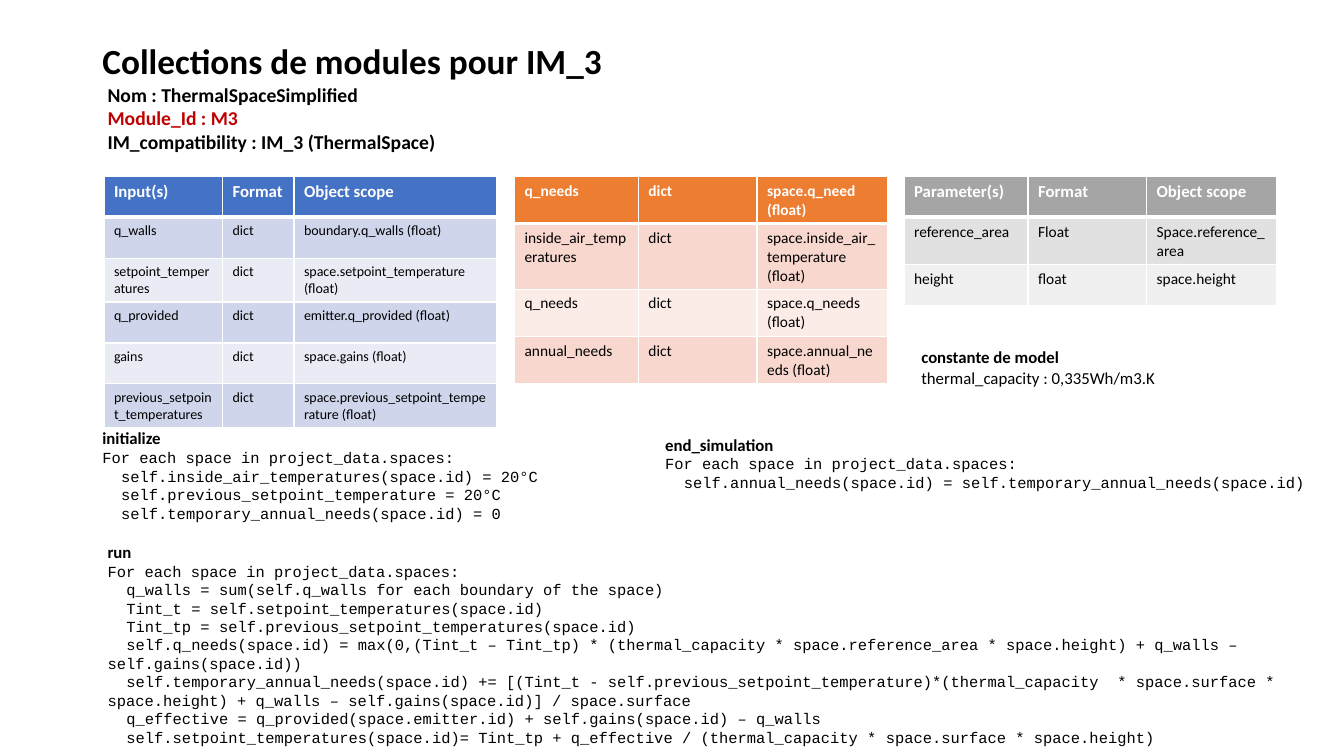
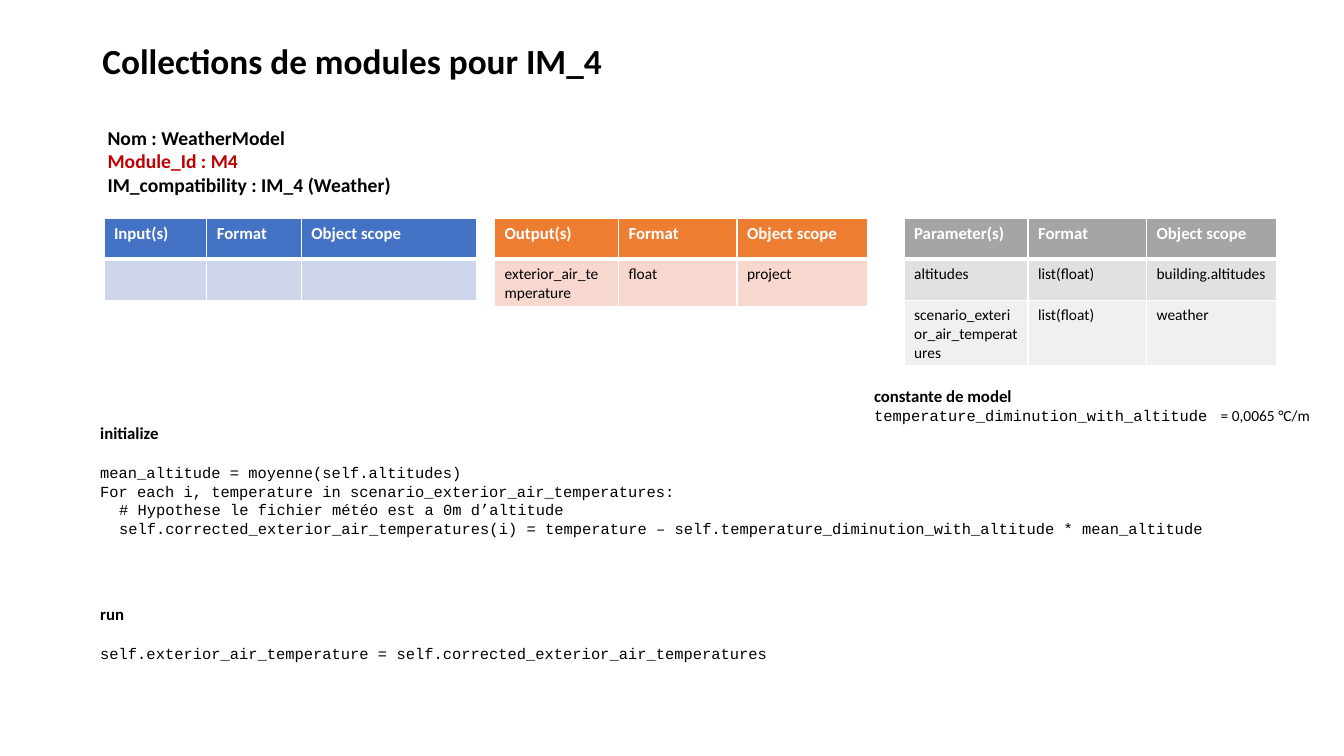
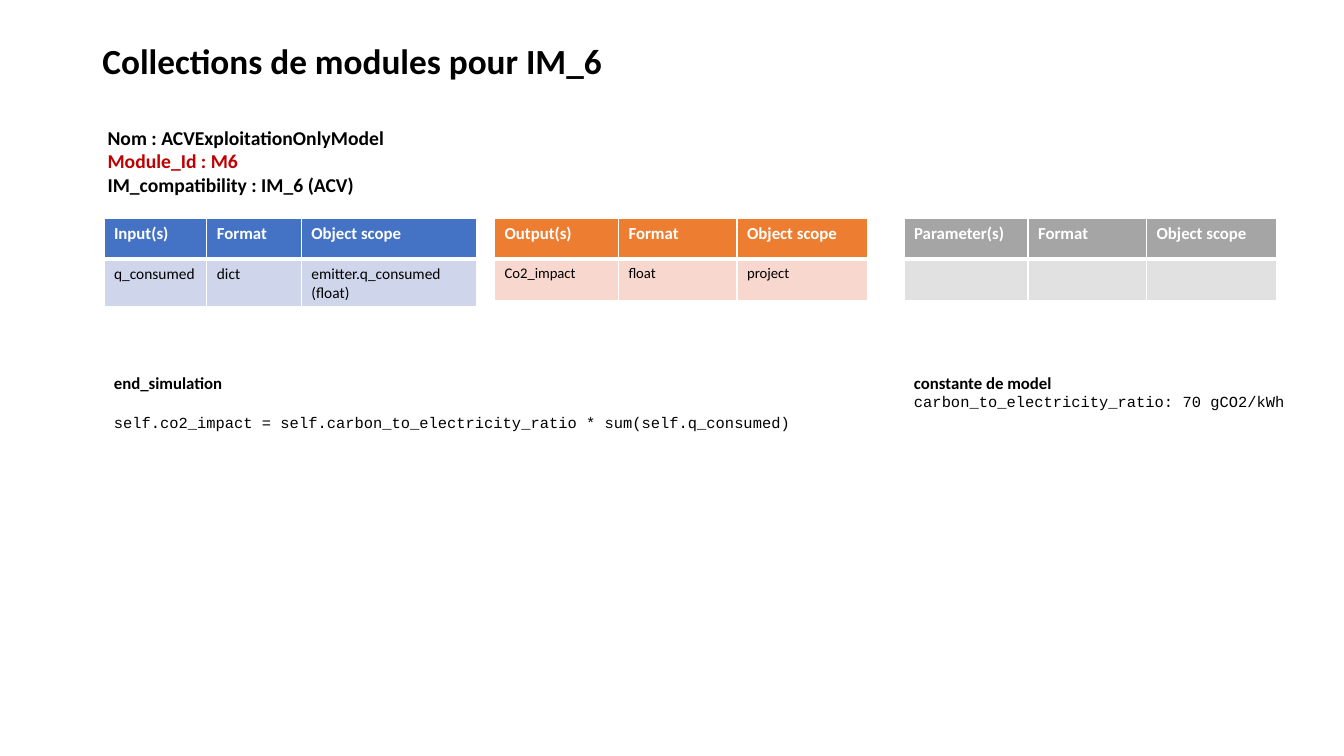
from lxml.etree import SubElement
from pptx import Presentation
from pptx.dml.color import RGBColor
from pptx.enum.text import MSO_ANCHOR, MSO_AUTO_SIZE, PP_ALIGN
from pptx.oxml.ns import qn
from pptx.util import Pt

PX = 9525
SANS, MONO = "Calibri", "Courier New"
BLACK, WHITE, RED = "000000", "FFFFFF", "C00000"
ROW_H = 39
INDENT = 18
BLANK_LINE = 14.6

# header fill, then the two alternating body fills
BLUE = ("4472C4", "CFD5EA", "E9EBF5")
ORANGE = ("ED7D31", "F8D7CE", "FCECE8")
GREY = ("A5A5A5", "E1E1E1", "F0F0F0")
EVEN_COLS = (118, 113, 124)
INPUT_COLS = (98, 90, 167)

INPUT_HEAD = ("Input(s)", "Format", "Object scope")
OUTPUT_HEAD = ("Output(s)", "Format", "Object scope")
PARAM_HEAD = ("Parameter(s)", "Format", "Object scope")
EMPTY = ("", "", "")

# tables: left, column widths, colours, header size, body size, rows
# blocks: box, heading, gap before the first line, lines;
# a line is a string of code or a list of (text, font, size) runs
slides = [
    {
        "im": 3, "name": "ThermalSpaceSimplified", "scope": "ThermalSpace",
        "meta_top": 74, "table_top": 168,
        "tables": [
            (99, (113, 68, 193), BLUE, 12, 10, [
                INPUT_HEAD,
                ("q_walls", "dict", "boundary.q_walls (float)"),
                ("setpoint_temperatures", "dict", "space.setpoint_temperature (float)"),
                ("q_provided", "dict", "emitter.q_provided (float)"),
                ("gains", "dict", "space.gains (float)"),
                ("previous_setpoint_temperatures", "dict",
                 "space.previous_setpoint_temperature (float)"),
            ]),
            (490, EVEN_COLS, ORANGE, 11, 11, [
                ("q_needs", "dict", "space.q_need (float)"),
                ("inside_air_temperatures", "dict", "space.inside_air_temperature (float)"),
                ("q_needs", "dict", "space.q_needs (float)"),
                ("annual_needs", "dict", "space.annual_needs (float)"),
            ]),
            (861, EVEN_COLS, GREY, 12, 11, [
                PARAM_HEAD,
                ("reference_area", "Float", "Space.reference_area"),
                ("height", "float", "space.height"),
            ]),
        ],
        "blocks": [
            ((93, 511, 1187, 206), "run", 0, [
                "For each space in project_data.spaces:",
                "  q_walls = sum(self.q_walls for each boundary of the space)",
                "  Tint_t = self.setpoint_temperatures(space.id)",
                "  Tint_tp = self.previous_setpoint_temperatures(space.id)",
                "  self.q_needs(space.id) = max(0,(Tint_t – Tint_tp) * (thermal_capacity * "
                "space.reference_area * space.height) + q_walls – self.gains(space.id))",
                "  self.temporary_annual_needs(space.id) += [(Tint_t - "
                "self.previous_setpoint_temperature)*(thermal_capacity  * space.surface * "
                "space.height) + q_walls – self.gains(space.id)] / space.surface",
                "  q_effective = q_provided(space.emitter.id) + self.gains(space.id) – q_walls",
                "  self.setpoint_temperatures(space.id)= Tint_tp + q_effective / "
                "(thermal_capacity * space.surface * space.height)",
            ]),
            ((88, 403, 614, 118), "initialize", 0, [
                "For each space in project_data.spaces:",
                "  self.inside_air_temperatures(space.id) = 20°C",
                "  self.previous_setpoint_temperature = 20°C",
                "  self.temporary_annual_needs(space.id) = 0",
            ]),
            ((868, 326, 256, 48), "constante de model", 0, [
                [("thermal_capacity : 0,335Wh/m3.K", SANS, 12)],
            ]),
            ((624, 409, 632, 64), "end_simulation", 0, [
                "For each space in project_data.spaces:",
                "  self.annual_needs(space.id) = self.temporary_annual_needs(space.id)",
            ]),
        ],
    },
    {
        "im": 4, "name": "WeatherModel", "scope": "Weather",
        "meta_top": 115, "table_top": 208,
        "tables": [
            (99, INPUT_COLS, BLUE, 12, 11, [INPUT_HEAD, EMPTY]),
            (471, EVEN_COLS, ORANGE, 12, 11, [
                OUTPUT_HEAD,
                ("exterior_air_temperature", "float", "project"),
            ]),
            (861, EVEN_COLS, GREY, 12, 11, [
                PARAM_HEAD,
                ("altitudes", "list(float)", "building.altitudes"),
                ("scenario_exterior_air_temperatures", "list(float)", "weather"),
            ]),
        ],
        "blocks": [
            ((823, 363, 454, 47), "constante de model", 0, [
                [("temperature_diminution_with_altitude ", MONO, 11),
                 (" = 0,0065 °C/m", SANS, 11)],
            ]),
            ((86, 570, 1124, 66), "run", BLANK_LINE, [
                "self.exterior_air_temperature = self.corrected_exterior_air_temperatures",
            ]),
            ((86, 398, 1124, 139), "initialize", BLANK_LINE, [
                "mean_altitude = moyenne(self.altitudes)",
                "For each i, temperature in scenario_exterior_air_temperatures:",
                "  # Hypothese le fichier météo est a 0m d’altitude",
                "  self.corrected_exterior_air_temperatures(i) = temperature – "
                "self.temperature_diminution_with_altitude * mean_altitude",
            ]),
        ],
    },
    {
        "im": 6, "name": "ACVExploitationOnlyModel", "scope": "ACV",
        "meta_top": 115, "table_top": 208,
        "tables": [
            (99, INPUT_COLS, BLUE, 12, 11, [
                INPUT_HEAD,
                ("q_consumed", "dict", "emitter.q_consumed (float)"),
            ]),
            (471, EVEN_COLS, ORANGE, 12, 10.5, [
                OUTPUT_HEAD,
                ("Co2_impact", "float", "project"),
            ]),
            (861, EVEN_COLS, GREY, 12, 11, [PARAM_HEAD, EMPTY]),
        ],
        "blocks": [
            ((99, 350, 750, 68), "end_simulation", BLANK_LINE, [
                "self.co2_impact = self.carbon_to_electricity_ratio * sum(self.q_consumed)",
            ]),
            ((861, 350, 408, 48), "constante de model", 0, [
                "carbon_to_electricity_ratio: 70 gCO2/kWh",
            ]),
        ],
    },
]


def rgb(color):
    return RGBColor.from_string(color)


def add_run(p, text, size, color=BLACK, bold=False, font=SANS):
    r = p.add_run()
    r.text = text
    r.font.name = font
    r.font.size = Pt(size)
    r.font.bold = bold
    r.font.color.rgb = rgb(color)


prs = Presentation()
prs.slide_width, prs.slide_height = 1280 * PX, 720 * PX

for data in slides:
    s = prs.slides.add_slide(prs.slide_layouts[5])

    title = s.shapes.title
    title.left, title.top, title.width, title.height = (v * PX for v in (88, 38, 1104, 45))
    tf = title.text_frame
    tf.auto_size = MSO_AUTO_SIZE.NONE
    tf.vertical_anchor = MSO_ANCHOR.MIDDLE
    p = tf.paragraphs[0]
    p.alignment = PP_ALIGN.LEFT
    p.line_spacing = 0.9
    add_run(p, f"Collections de modules pour IM_{data['im']}", 25.2, bold=True)

    tf = s.shapes.add_textbox(93 * PX, data["meta_top"] * PX, 349 * PX, 142 * PX).text_frame
    tf.word_wrap = True
    meta = [
        (f"Nom : {data['name']}", BLACK),
        (f"Module_Id : M{data['im']}", RED),
        (f"IM_compatibility : IM_{data['im']} ({data['scope']})", BLACK),
    ]
    for i, (text, color) in enumerate(meta):
        p = tf.add_paragraph() if i else tf.paragraphs[0]
        add_run(p, text, 14, color, bold=True)

    for left, cols, fills, head_size, body_size, rows in data["tables"]:
        table = s.shapes.add_table(
            len(rows), len(cols), left * PX, data["table_top"] * PX,
            sum(cols) * PX, len(rows) * ROW_H * PX).table
        for col, width in zip(table.columns, cols):
            col.width = width * PX
        for i, row in enumerate(rows):
            head = i == 0
            fill = fills[0] if head else fills[1 + (i - 1) % 2]
            borders = {"L": 1, "R": 1, "T": 3 if i == 1 else 1, "B": 3 if head else 1}
            for j, text in enumerate(row):
                cell = table.cell(i, j)
                tcPr = cell._tc.get_or_add_tcPr()
                for side, width in borders.items():
                    ln = SubElement(tcPr, qn(f"a:ln{side}"), w=str(Pt(width)))
                    SubElement(SubElement(ln, qn("a:solidFill")), qn("a:srgbClr"), val=WHITE)
                cell.fill.solid()
                cell.fill.fore_color.rgb = rgb(fill)
                if text:
                    add_run(cell.text_frame.paragraphs[0], text,
                            head_size if head else body_size,
                            WHITE if head else BLACK, bold=head)

    for box, heading, gap, lines in data["blocks"]:
        tf = s.shapes.add_textbox(*(v * PX for v in box)).text_frame
        tf.word_wrap = True
        add_run(tf.paragraphs[0], heading, 12, bold=True)
        for i, line in enumerate(lines):
            p = tf.add_paragraph()
            if i == 0 and gap:
                p.space_before = Pt(gap)
            if isinstance(line, str):
                if line.startswith("  "):
                    pPr = p._p.get_or_add_pPr()
                    pPr.set("marL", "0")
                    pPr.set("indent", str(INDENT * PX))
                line = [(line.strip(), MONO, 11)]
            for text, font, size in line:
                add_run(p, text, size, font=font)

prs.save("out.pptx")
